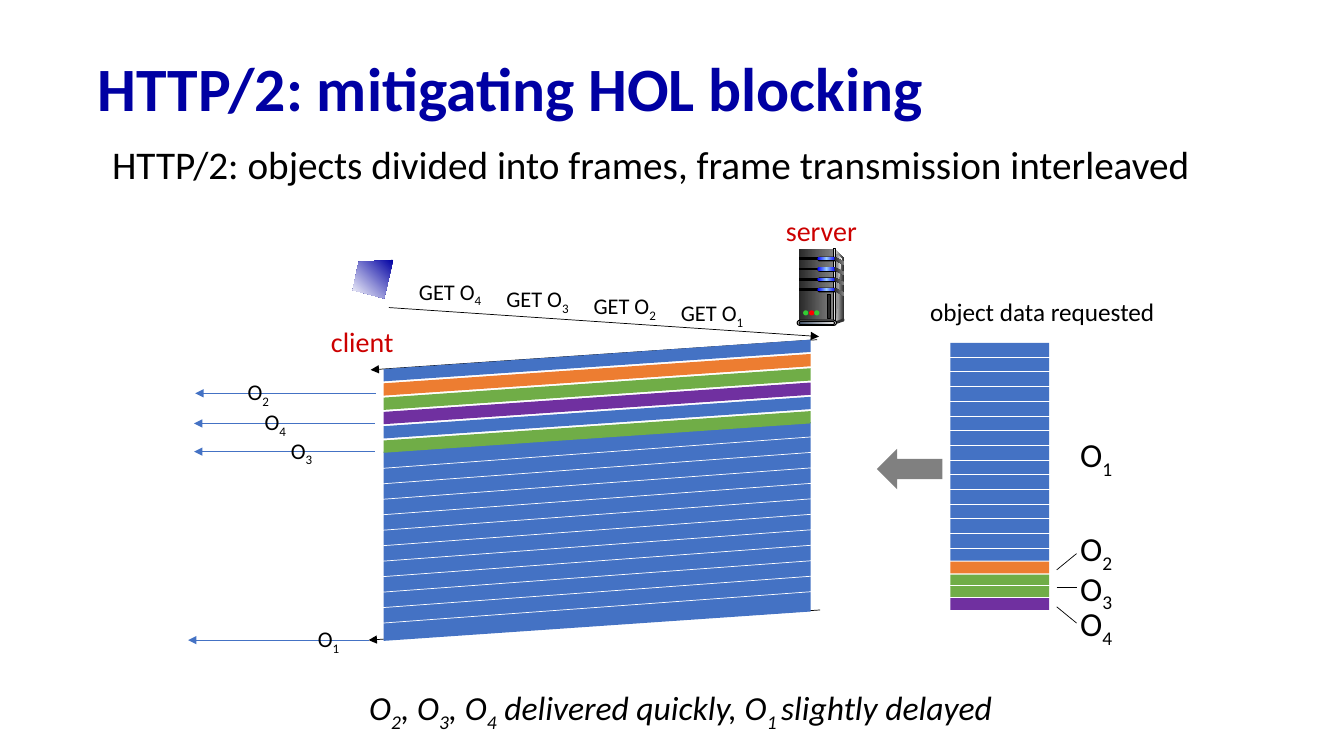
from pptx import Presentation
from pptx import util as u
from pptx.dml.color import RGBColor
from pptx.enum import shapes, text
from pptx.oxml.ns import qn
from lxml import etree

FONT = "Calibri"
BLACK, WHITE, RED, NAVY = "000000", "FFFFFF", "CC0000", "0000A3"
BLUE, ORANGE, GREEN, PURPLE = "4472C4", "ED7D31", "70AD47", "7030A0"
GRAY, DARK, LIGHT, COAL = "808080", "333333", "DDDDDD", "292929"
KIND = shapes.MSO_SHAPE


def color(code):
    return RGBColor.from_string(code)


def paint(shape, fill, line=None, angle=0):
    """Fill with one colour, or with a gradient when given a list."""
    shape.shadow.inherit = False
    if isinstance(fill, str):
        shape.fill.solid()
        shape.fill.fore_color.rgb = color(fill)
    else:
        shape.fill.gradient()
        shape.fill.gradient_angle = angle
        stops = next(shape._element.iter(qn("a:gsLst")))
        for old in list(stops):
            stops.remove(old)
        for i, code in enumerate(fill):
            stop = etree.SubElement(stops, qn("a:gs"), pos=str(100000 * i // (len(fill) - 1)))
            etree.SubElement(stop, qn("a:srgbClr"), val=code)
    if line:
        shape.line.color.rgb = color(line)
        shape.line.width = u.Pt(0.75)
    else:
        shape.line.fill.background()


class Region:
    """Draws items in centimetres from the top left of a box."""

    def __init__(self, slide, box):
        self.items = slide.shapes
        self.x, self.y, self.w, self.h = box

    def at(self, x, y):
        return u.Cm(self.x + x), u.Cm(self.y + y)

    def block(self, kind, x, y, w, h, fill, line=None):
        shape = self.items.add_shape(kind, *self.at(x, y), u.Cm(w), u.Cm(h))
        if kind == KIND.ROUNDED_RECTANGLE:
            shape.adjustments[0] = 0.5
        paint(shape, fill, line)

    def outline(self, spots, fill, angle=0):
        first, *rest = [self.at(*spot) for spot in spots]
        form = self.items.build_freeform(*first)
        form.add_line_segments(rest, close=True)
        paint(form.convert_to_shape(), fill, angle=angle)

    def line(self, start, end, code, arrow=False):
        link = self.items.add_connector(
            shapes.MSO_CONNECTOR.STRAIGHT, *self.at(*start), *self.at(*end))
        link.line.color.rgb = color(code)
        link.line.width = u.Pt(0.5)
        props = link._element.spPr
        if arrow:
            etree.SubElement(props.find(qn("a:ln")), qn("a:tailEnd"), type="triangle")
        etree.SubElement(props, qn("a:effectLst"))

    def label(self, words, x, y, w, h, size, code=BLACK, center=False):
        frame = self.items.add_textbox(*self.at(x, y), u.Cm(w), u.Cm(h)).text_frame
        frame.word_wrap = not center
        if center:
            frame.paragraphs[0].alignment = text.PP_ALIGN.CENTER
        write(frame.paragraphs[0], words, size, code)


def write(para, words, size, code=BLACK, bold=False, italic=False):
    """Every second piece between underscores is a subscript."""
    for i, piece in enumerate(words.split("_")):
        run = para.add_run()
        run.text = piece
        font = run.font
        font.name, font.size, font.bold, font.italic = FONT, u.Pt(size), bold, italic
        font.color.rgb = color(code)
        if i % 2:
            font._element.set("baseline", "-25000")


def place(holder, box):
    holder.left, holder.top, holder.width, holder.height = map(u.Cm, box)
    frame = holder.text_frame
    frame.word_wrap = True
    frame.auto_size = text.MSO_AUTO_SIZE.NONE
    para = frame.paragraphs[0]
    para.line_spacing = 0.9
    para.space_before = u.Pt(0)
    para.alignment = text.PP_ALIGN.LEFT
    return para


def heading(holder, box, words):
    holder.text_frame.vertical_anchor = text.MSO_ANCHOR.MIDDLE
    write(place(holder, box), words, 44, NAVY, bold=True)


def remark(holder, box, words, size, italic=False):
    para = place(holder, box)
    props = para._p.get_or_add_pPr()
    props.set("marL", str(u.Cm(0.36)))
    props.set("indent", "0")
    etree.SubElement(props, qn("a:buNone"))
    write(para, words, size, italic=italic)


def server(slide, box):
    r = Region(slide, box)
    rect, pill, oval = KIND.RECTANGLE, KIND.ROUNDED_RECTANGLE, KIND.OVAL
    # case
    r.outline([(0.97, 0.03), (1.17, 0.23), (1.17, 1.75), (0.94, 1.83)], [LIGHT, DARK])
    r.block(rect, 0.05, 0, 0.86, 1.83, [COAL, GRAY])
    r.outline([(0.99, 0.13), (1.12, 0.25), (1.04, 0.8), (0.99, 1.78)], [GRAY, "F8F8F8"])
    r.block(rect, 0.91, 0, 0.05, 1.83, [DARK, LIGHT, DARK], BLACK)
    # drive bays
    for i in range(4):
        y = 0.2 + 0.26 * i
        r.block(rect, 0.06, y + 0.03, 0.48, 0.04, BLACK, BLACK)
        r.block(pill, 0.51, y, 0.48, 0.12, BLACK)
        r.block(pill, 0.51, y + 0.01, 0.46, 0.08, ["0000FF", "99CCFF", "0000FF"])
        r.outline([(0.94, y), (1.17, y + 0.12), (1.17, y + 0.2), (0.94, y + 0.08)], [COAL, GRAY])
    # foot
    r.block(oval, 1.14, 1.75, 0.05, 0.08, DARK)
    r.outline([(0.97, 1.83), (0.97, 1.9), (1.17, 1.83), (1.17, 1.75)], DARK)
    r.block(pill, 0, 1.8, 0.99, 0.13, LIGHT, BLACK)
    r.block(pill, 0.05, 1.83, 0.89, 0.08, ["44546A", "E7E6E6"], BLACK)
    # lamps and slot
    for x, code in (0.15, "33CC33"), (0.3, "FF0000"), (0.43, "33CC33"):
        r.block(oval, x, 1.55, 0.13, 0.13, code)
    r.block(rect, 0.76, 1.14, 0.08, 0.61, COAL, BLACK)
    r.label("server", -0.56, -1.02, 2.34, 1.12, 20, RED, center=True)


def client(slide, box):
    r = Region(slide, box)
    r.outline([(r.w, 0), (0.15, 0.05), (0, 0.76), (0.79, r.h)], [NAVY, WHITE], 225)
    r.label("client", -0.84, 1.5, 2.16, 1.09, 20, RED, center=True)


def exchange(slide, box):
    r = Region(slide, box)
    drop, step = 0.74, 0.36
    # requests
    r.line((0.13, -0.81), (10.97, -0.08), BLACK, arrow=True)
    for i in range(4):
        r.label(f"GET O_{i + 1}", 7.24 - 2.2 * i, -1.14 - 0.18 * i, 2.49, 0.94, 16)
    # replies, first and last
    r.line((10.92, 0), (-0.33, 0.76), BLACK, arrow=True)
    r.line((11, 6.81), (-0.38, 7.57), BLACK, arrow=True)
    # frames
    tiers = [(step * i, 0.31, code) for i, code in
             enumerate([BLUE, ORANGE, GREEN, PURPLE, BLUE, GREEN])]
    for y, h, code in [(2.08, 4.77, BLUE)] + tiers:
        r.outline([(r.w, y), (0, y + drop), (0, y + drop + h), (r.w, y + h)], code)
    for i in range(11):
        y = 3.25 + 0.39 * i
        r.line((-0.15, y), (r.w + 0.15, y - 0.81), WHITE)
    # deliveries
    for n, x, y, start in ((2, -3.68, 1.35, -0.2), (4, -3.25, 2.11, -0.23),
                           (3, -2.59, 2.82, -0.23), (1, -1.91, 7.57, -0.38)):
        r.line((start, y), (start - 4.55, y), BLUE, arrow=True)
        r.label(f"O_{n}", x, y - 0.5, 1.27, 0.94, 16)


def objects(slide, box):
    r = Region(slide, box)
    r.label("object data requested", -0.76, -1.3, 7.11, 1.02, 18)
    r.block(KIND.LEFT_ARROW, -1.85, 2.67, 1.65, 1.02, GRAY)
    # stack of frames
    for y, h, code in ((0, 5.49, BLUE), (5.51, 0.3, ORANGE), (5.84, 0.3, GREEN),
                       (6.1, 0.3, GREEN), (6.43, 0.3, PURPLE)):
        r.block(KIND.RECTANGLE, 0, y, r.w, h, code)
    for y in [0.36 + 0.37 * i for i in range(14)] + [6.12]:
        r.line((-0.15, y), (r.w + 0.1, y), WHITE)
    # object names and leaders
    for i, y in enumerate((2.18, 4.55, 5.54, 6.43)):
        r.label(f"O_{i + 1}", 3.02, y, 1.98, 1.96, 24)
    for start, end in (5.72, 5.31), (6.15, 6.15), (6.65, 7.06):
        r.line((2.68, start), (3.18, end), BLACK)


def main():
    deck = Presentation()
    deck.slide_width, deck.slide_height = u.Cm(33.87), u.Cm(19.05)
    slide = deck.slides.add_slide(deck.slide_layouts[3])
    title, intro, close = slide.placeholders
    heading(title, (2.21, 1.07, 29.21, 2.49), "HTTP/2: mitigating HOL blocking")
    remark(intro, (2.21, 3.53, 30.89, 1.4),
           "HTTP/2: objects divided into frames, frame transmission interleaved", 28)
    server(slide, (20.09, 6.27, 1.19, 1.93))
    client(slide, (8.89, 6.55, 1.02, 0.97))
    exchange(slide, (9.67, 8.56, 10.76, 7.6))
    objects(slide, (23.95, 8.64, 2.49, 6.73))
    remark(close, (8.69, 17.2, 18.21, 1.4),
           "O_2_, O_3_, O_4_ delivered quickly, O_1 _slightly delayed", 24, italic=True)
    deck.save("out.pptx")


if __name__ == "__main__":
    main()
